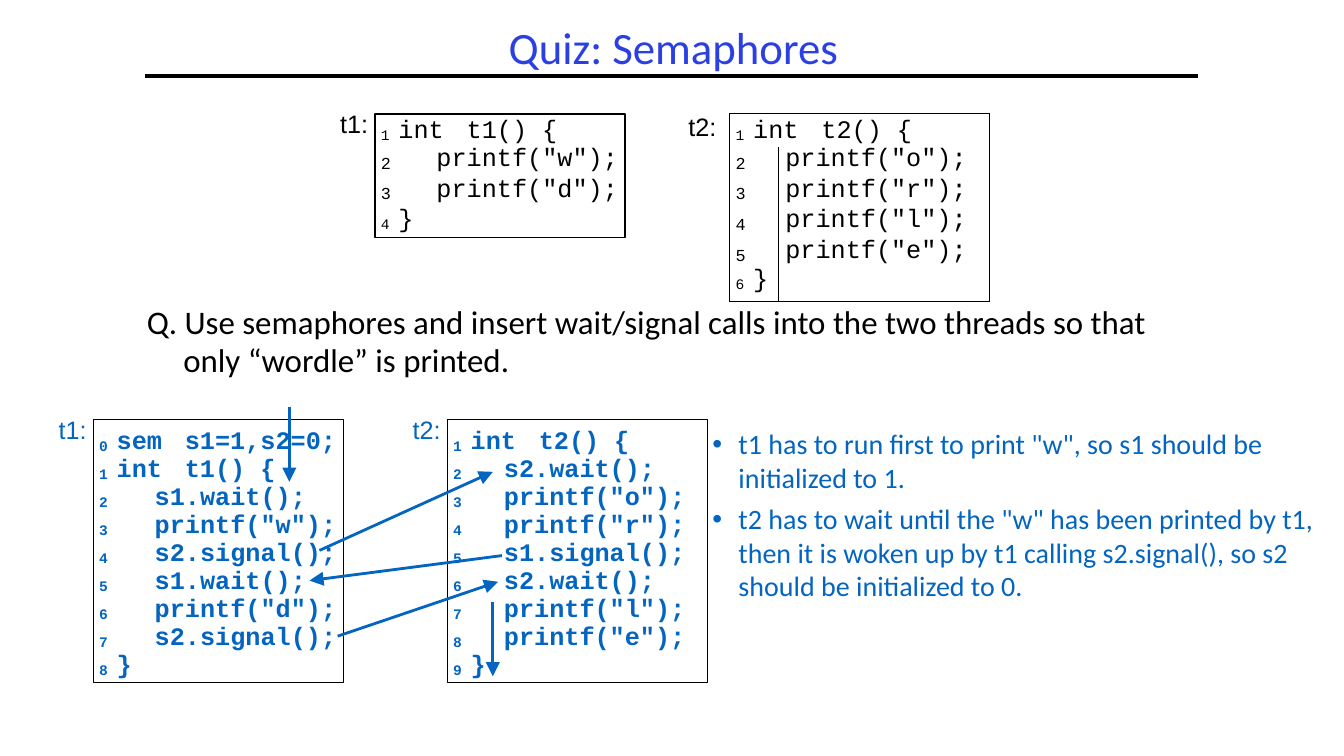
from lxml.etree import SubElement
from pptx import Presentation
from pptx.dml.color import RGBColor
from pptx.enum.shapes import MSO_CONNECTOR, MSO_SHAPE
from pptx.enum.text import MSO_ANCHOR, MSO_AUTO_SIZE, PP_ALIGN
from pptx.oxml.ns import qn
from pptx.util import Cm, Pt

BLACK = RGBColor(0, 0, 0)
BLUE = RGBColor(0x03, 0x65, 0xC0)
TITLE = RGBColor(0x2A, 0x40, 0xE2)
MONO = "Courier New"
NO_GRID = "{2D5ABB26-0587-4C30-8999-92F81FD0307C}"

FIRST = [
    ["1 int\tt1()\t{", "", "t2:", "1 int\tt2()\t{", ""],
    ["2", 'printf("w");', "", "2", 'printf("o");'],
    ["3", 'printf("d");', "", "3", 'printf("r");'],
    ["4 }", "", "", "4", 'printf("l");'],
    ["", "", "", "5\n6 }", 'printf("e");'],
]
LEFT = ["0 sem\ts1=1,s2=0;", "1 int\tt1()\t{", "2\ts1.wait();", '3\tprintf("w");',
        "4\ts2.signal();", "5\ts1.wait();", '6\tprintf("d");', "7\ts2.signal();", "8 }"]
RIGHT = ["1 int\tt2()\t{", "2\ts2.wait();", '3\tprintf("o");', '4\tprintf("r");',
         "5\ts1.signal();", "6\ts2.wait();", '7\tprintf("l");', '8\tprintf("e");', "9 }"]
POINTS = ['t1 has to run first to print "w", so s1 should be initialized to 1.',
          't2 has to wait until the "w" has been printed by t1, then it is woken up '
          "by t1 calling s2.signal(), so s2 should be initialized to 0."]
ARROWS = [(8.05, 13.87, 12.42, 11.89), (12.65, 14, 7.8, 14.63), (7.29, 10.26, 7.29, 12.14),
          (8.51, 16.03, 12.55, 14.66), (12.42, 15.16, 12.42, 17.04)]


def style(par, size, name, color, bold=False):
    """Set the font of a whole paragraph."""
    font = par.font
    font.size, font.name, font.bold = Pt(size), name, bold
    font.color.rgb = color


def pad(frame, left=0, top=0):
    """Fix the insets of a text frame and keep its size."""
    frame.margin_left, frame.margin_top = Cm(left), Cm(top)
    frame.margin_right = frame.margin_bottom = 0
    frame.auto_size = MSO_AUTO_SIZE.NONE


def stops(par, places):
    """Add left tab stops."""
    tabs = SubElement(par._p.get_or_add_pPr(), qn("a:tabLst"))
    for place in places:
        SubElement(tabs, qn("a:tab"), pos=str(Cm(place)), algn="l")


def code(par, text, lead, color, bold, indent=1.4):
    """Write a code line after its lowered line number."""
    par.alignment, par.line_spacing = PP_ALIGN.LEFT, Pt(lead)
    stops(par, (indent, 2.16, 4.06))
    num, rest = par.add_run(), par.add_run()
    num.text, rest.text = text[:2], text[2:]
    num._r.get_or_add_rPr().set("baseline", "-7000")
    style(par, 18, MONO, color, bold)


def label(slide, left, top, text, color):
    """Name the code box whose corner is given."""
    box = slide.shapes.add_textbox(Cm(left - 0.88), Cm(top - 0.13), Cm(0.96), Cm(0.81))
    pad(box.text_frame)
    par = box.text_frame.paragraphs[0]
    par.text = text
    style(par, 18, "Arial", color)


def frame(slide, left, top, width, height):
    """Draw an outlined code box."""
    box = slide.shapes.add_shape(MSO_SHAPE.RECTANGLE, Cm(left), Cm(top), Cm(width), Cm(height))
    box.shadow.inherit = False
    box.fill.background()
    box.line.color.rgb, box.line.width = BLACK, Pt(1)
    return box


def panel(slide, left, top, width, height, name, lines, indent):
    """Place an answer box with numbered code."""
    text = frame(slide, left, top, width, height).text_frame
    pad(text, 0.14, 0.18)
    text.word_wrap, text.vertical_anchor = False, MSO_ANCHOR.TOP
    for i, line in enumerate(lines):
        par = text.add_paragraph() if i else text.paragraphs[0]
        code(par, line, 20, BLUE, True, indent)
    label(slide, left, top, name, BLUE)


def edges(cell, sides):
    """Draw cell borders on the given sides."""
    for side in "LRTB":
        if side in sides:
            line = SubElement(cell._tc.get_or_add_tcPr(), qn("a:ln" + side), w=str(Pt(1)))
            fill = SubElement(line, qn("a:solidFill"))
            SubElement(fill, qn("a:srgbClr"), val=str(BLACK))


def fill(cell, text, col):
    """Fill one cell of the code table."""
    cell.margin_left = cell.margin_top = cell.margin_right = cell.margin_bottom = 0
    for i, line in enumerate(text.split("\n")):
        par = cell.text_frame.add_paragraph() if i else cell.text_frame.paragraphs[0]
        if " " in line:
            cell.margin_left = Cm(0.15)
            code(par, line, 20.8 if "{" in line or i else 19, BLACK, False)
            continue
        par.text = line
        if line.isdigit():
            cell.margin_left, cell.margin_top = Cm(0.15), Cm(0.2)
            par.line_spacing = Pt(13.5)
            style(par, 12, MONO, BLACK)
        elif line == "t2:":
            cell.margin_left = Cm(1.6)
            style(par, 18, "Arial", BLACK)
        elif line:
            cell.margin_left = Cm(0.25 if col == 1 else 0.18)
            par.line_spacing = Pt(19)
            style(par, 18, MONO, BLACK)
        else:
            par.line_spacing = Pt(12)


def table(slide, left, top):
    """Place the two threads of the question."""
    cols, rows = (1.3, 5, 2.64, 1.22, 5.33), (0.84, 0.71, 0.71, 0.71, 1.55)
    grid = slide.shapes.add_table(5, 5, Cm(left), Cm(top), Cm(sum(cols)), Cm(sum(rows))).table
    grid._tbl.tblPr[0].text = NO_GRID
    grid.first_row = grid.horz_banding = False
    for col, width in zip(grid.columns, cols):
        col.width = Cm(width)
    for row, height in zip(grid.rows, rows):
        row.height = Cm(height)
    for c in (0, 3):
        grid.cell(0, c).merge(grid.cell(0, c + 1))
    for r, texts in enumerate(FIRST):
        for c, text in enumerate(texts):
            cell = grid.cell(r, c)
            fill(cell, text, c)
            if c > 1 and not cell.is_spanned:
                ends = {0: "T", 4: "B"}.get(r, "") if c > 2 else ""
                edges(cell, ("R" if c == 2 else "LR") + ends)
            cell.fill.background()
    grid.cell(0, 0).margin_top = grid.cell(0, 3).margin_top = Cm(0.08)
    frame(slide, left, top, 6.3, 3.12)
    label(slide, left, top, "t1:", BLACK)


def link(slide, ends, color, width, head=False):
    """Draw a line or an arrow."""
    line = slide.shapes.add_connector(MSO_CONNECTOR.STRAIGHT, *map(Cm, ends))
    line.line.color.rgb, line.line.width = color, Pt(width)
    if head:
        SubElement(line.line._get_or_add_ln(), qn("a:tailEnd"), type="triangle", w="lg", len="lg")
    SubElement(line._element.spPr, qn("a:effectLst"))


def place(shape, left, top, width, height):
    """Move a placeholder into a box."""
    shape.left, shape.top, shape.width, shape.height = map(Cm, (left, top, width, height))


def head(slide, left, top, width, height):
    """Place the title and the rule under it."""
    shape = slide.shapes.title
    place(shape, left, top, width, height)
    text = shape.text_frame
    pad(text, 0.03, 0.03)
    text.vertical_anchor = MSO_ANCHOR.MIDDLE
    par = text.paragraphs[0]
    par.text, par.alignment = "Quiz: Semaphores", PP_ALIGN.CENTER
    style(par, 32, "Calibri", TITLE)
    link(slide, (left, top + 1.45, left + 26.54, top + 1.45), BLACK, 3)


def hang(par, left, first):
    """Set a hanging indent."""
    props = par._p.get_or_add_pPr()
    props.set("marL", str(Cm(left)))
    props.set("indent", str(Cm(first)))
    return props


def ask(slide, left, top, width, height):
    """Place the question."""
    text = slide.shapes.add_textbox(*map(Cm, (left, top, width, height))).text_frame
    pad(text, 0, 0.1)
    text.word_wrap = True
    par = text.paragraphs[0]
    par.text = ("Q. Use semaphores and insert wait/signal calls into the two threads "
                "so that only “wordle” is printed.")
    hang(par, 0.96, -0.92)
    par.line_spacing = Pt(27)
    style(par, 23.5, "Calibri", BLACK)


def notes(slide, left, top, width, height):
    """Place the explaining list."""
    shape = slide.placeholders[1]
    place(shape, left, top, width, height)
    text = shape.text_frame
    pad(text, 0, 0.23)
    for i, point in enumerate(POINTS):
        par = text.add_paragraph() if i else text.paragraphs[0]
        par.text = point
        SubElement(hang(par, 0.68, -0.66), qn("a:buChar"), char="•")
        par.space_before = Pt(5.6 if i else 0)
        style(par, 20, "Calibri", BLUE)


def main():
    """Build the slide."""
    deck = Presentation()
    deck.slide_width, deck.slide_height = Cm(33.87), Cm(19.05)
    slide = deck.slides.add_slide(deck.slide_layouts[1])
    head(slide, 3.66, 0.46, 26.6, 1.4)
    table(slide, 9.45, 2.87)
    ask(slide, 3.66, 7.54, 25.96, 2.03)
    notes(slide, 17.93, 10.52, 15.65, 4.72)
    panel(slide, 2.36, 10.57, 6.3, 6.63, "t1:", LEFT, 1.4)
    panel(slide, 11.28, 10.57, 6.55, 6.63, "t2:", RIGHT, 1.28)
    for ends in ARROWS:
        link(slide, ends, BLUE, 2, True)
    deck.save("out.pptx")


if __name__ == "__main__":
    main()
